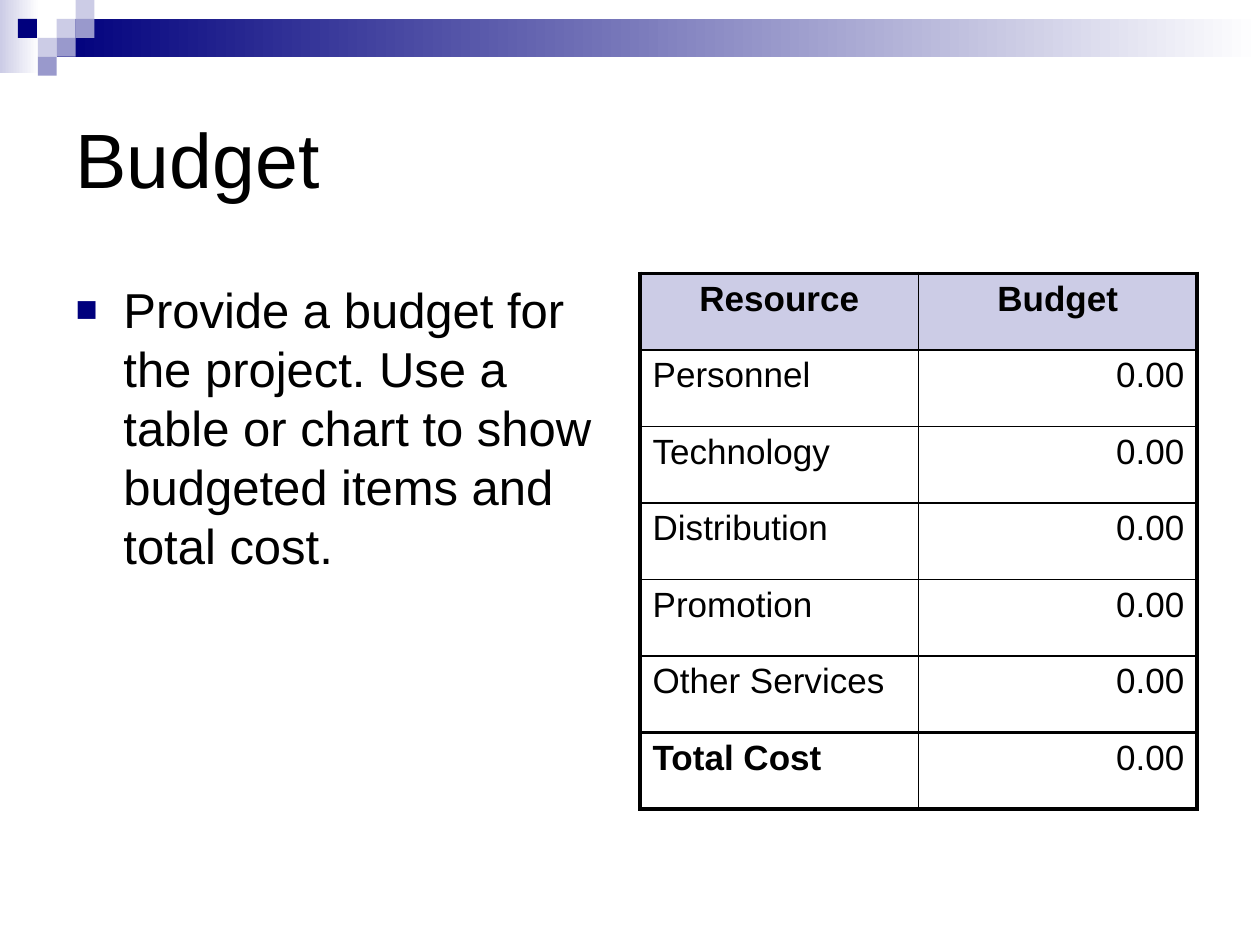
from typing import NamedTuple

from lxml.etree import SubElement
from pptx import Presentation
from pptx.dml.color import RGBColor
from pptx.enum.shapes import MSO_SHAPE
from pptx.enum.text import MSO_ANCHOR, MSO_AUTO_SIZE, PP_ALIGN
from pptx.oxml import parse_xml
from pptx.oxml.ns import nsdecls, qn
from pptx.util import Inches, Pt

NAVY, LAVENDER, VIOLET = "00007D", "CCCCE6", "9999CC"
BLACK, WHITE = "000000", "FFFFFF"
UNIT = 0.15
THIN, THICK = 1, 2.25
MARGIN, CONTENT_TOP = 0.5, 2.17
CONTENT_WIDTH, CONTENT_HEIGHT = 4.42, 4.25


class Block(NamedTuple):
    """A header block, measured in units of the header grid."""
    column: float
    row: float
    color: str
    fade_to: str = ""
    width: float = 1
    height: float = 1


HEADER = [
    Block(0, 0, LAVENDER, WHITE, 2.07, 3.87),
    Block(3, 1, NAVY, WHITE, 63.67, 2),
    Block(3, 1, LAVENDER),
    Block(4, 0, LAVENDER),
    Block(4, 1, VIOLET),
    Block(2, 2, LAVENDER),
    Block(0.95, 1, NAVY),
    Block(3, 2, VIOLET),
    Block(2, 3, VIOLET),
]
RESOURCES = ["Personnel", "Technology", "Distribution", "Promotion",
             "Other Services", "Total Cost"]
ROWS = [("Resource", "Budget")] + [(name, "0.00") for name in RESOURCES]


def rgb(color: str) -> RGBColor:
    """Turn a hex string into a colour."""
    return RGBColor.from_string(color)


def draw_block(slide, block: Block) -> None:
    """Draw one plain or fading header block."""
    shape = slide.shapes.add_shape(
        MSO_SHAPE.RECTANGLE, Inches(block.column * UNIT), Inches(block.row * UNIT),
        Inches(block.width * UNIT), Inches(block.height * UNIT))
    shape.shadow.inherit = False
    shape.line.fill.background()
    if block.fade_to:
        shape.fill.gradient()
        shape.fill.gradient_angle = 0
        for stop, color, position in zip(shape.fill.gradient_stops,
                                         (block.color, block.fade_to), (0, 1)):
            stop.color.rgb = rgb(color)
            stop.position = position
    else:
        shape.fill.solid()
        shape.fill.fore_color.rgb = rgb(block.color)


def write(frame, text: str, *, size: float, bold: bool = False,
          align=PP_ALIGN.LEFT, space_before=None):
    """Write one formatted paragraph and return it."""
    paragraph = frame.paragraphs[0]
    paragraph.alignment = align
    if space_before is not None:
        paragraph.space_before = Pt(space_before)
    run = paragraph.add_run()
    run.text = text
    run.font.name, run.font.size, run.font.bold = "Arial", Pt(size), bold
    run.font.color.rgb = rgb(BLACK)
    return paragraph


def place(shape, left: float, top: float, width: float, height: float) -> None:
    """Move a placeholder and keep its text size fixed."""
    shape.left, shape.top = Inches(left), Inches(top)
    shape.width, shape.height = Inches(width), Inches(height)
    shape.text_frame.auto_size = MSO_AUTO_SIZE.NONE
    shape.text_frame.word_wrap = True


def add_square_bullet(paragraph) -> None:
    """Give a paragraph a navy square bullet with a hanging indent."""
    properties = paragraph._p.get_or_add_pPr()
    properties.set("marL", str(Inches(0.38)))
    properties.set("indent", str(-Inches(0.38)))
    color = SubElement(properties, qn("a:buClr"))
    SubElement(color, qn("a:srgbClr"), val=NAVY)
    SubElement(properties, qn("a:buSzPct"), val="75000")
    SubElement(properties, qn("a:buFont"), typeface="Arial")
    SubElement(properties, qn("a:buChar"), char="\u25a0")


def set_borders(cell, **widths: float) -> None:
    """Set the cell's borders, named L, R, T and B, in points."""
    properties = cell._tc.get_or_add_tcPr()
    for index, side in enumerate("LRTB"):
        properties.insert(index, parse_xml(
            f'<a:ln{side} {nsdecls("a")} w="{Pt(widths[side])}"><a:solidFill>'
            f'<a:srgbClr val="{BLACK}"/></a:solidFill></a:ln{side}>'))


def draw_budget_table(slide) -> None:
    """Draw the budget table with a thick frame and total row."""
    last = len(ROWS) - 1
    table = slide.shapes.add_table(
        len(ROWS), 2, Inches(10 - MARGIN - CONTENT_WIDTH), Inches(CONTENT_TOP),
        Inches(CONTENT_WIDTH), Inches(CONTENT_HEIGHT)).table
    table.first_row = table.horz_banding = False
    for row, texts in enumerate(ROWS):
        for column, text in enumerate(texts):
            cell = table.cell(row, column)
            if row == 0:
                cell.fill.solid()
                cell.fill.fore_color.rgb = rgb(LAVENDER)
                align = PP_ALIGN.CENTER
            else:
                cell.fill.background()
                align = PP_ALIGN.RIGHT if column else PP_ALIGN.LEFT
            write(cell.text_frame, text, size=20, align=align, space_before=4,
                  bold=row == 0 or (row == last and column == 0))
            set_borders(cell,
                        L=THIN if column else THICK,
                        R=THICK if column else THIN,
                        T=THICK if row in (0, last) else THIN,
                        B=THICK if row >= last - 1 else THIN)


def main() -> None:
    """Build and save the budget slide."""
    presentation = Presentation()
    presentation.slide_width, presentation.slide_height = Inches(10), Inches(7.5)
    slide = presentation.slides.add_slide(presentation.slide_layouts[1])
    for block in HEADER:
        draw_block(slide, block)

    title, body = slide.placeholders
    place(title, MARGIN, 0.5, 9, 1.5)
    title.text_frame.vertical_anchor = MSO_ANCHOR.MIDDLE
    write(title.text_frame, "Budget", size=44)

    place(body, MARGIN, CONTENT_TOP, CONTENT_WIDTH, CONTENT_HEIGHT)
    add_square_bullet(write(
        body.text_frame, "Provide a budget for the project. Use a table or chart "
        "to show budgeted items and total cost.", size=28))

    draw_budget_table(slide)
    presentation.save("out.pptx")


main()
